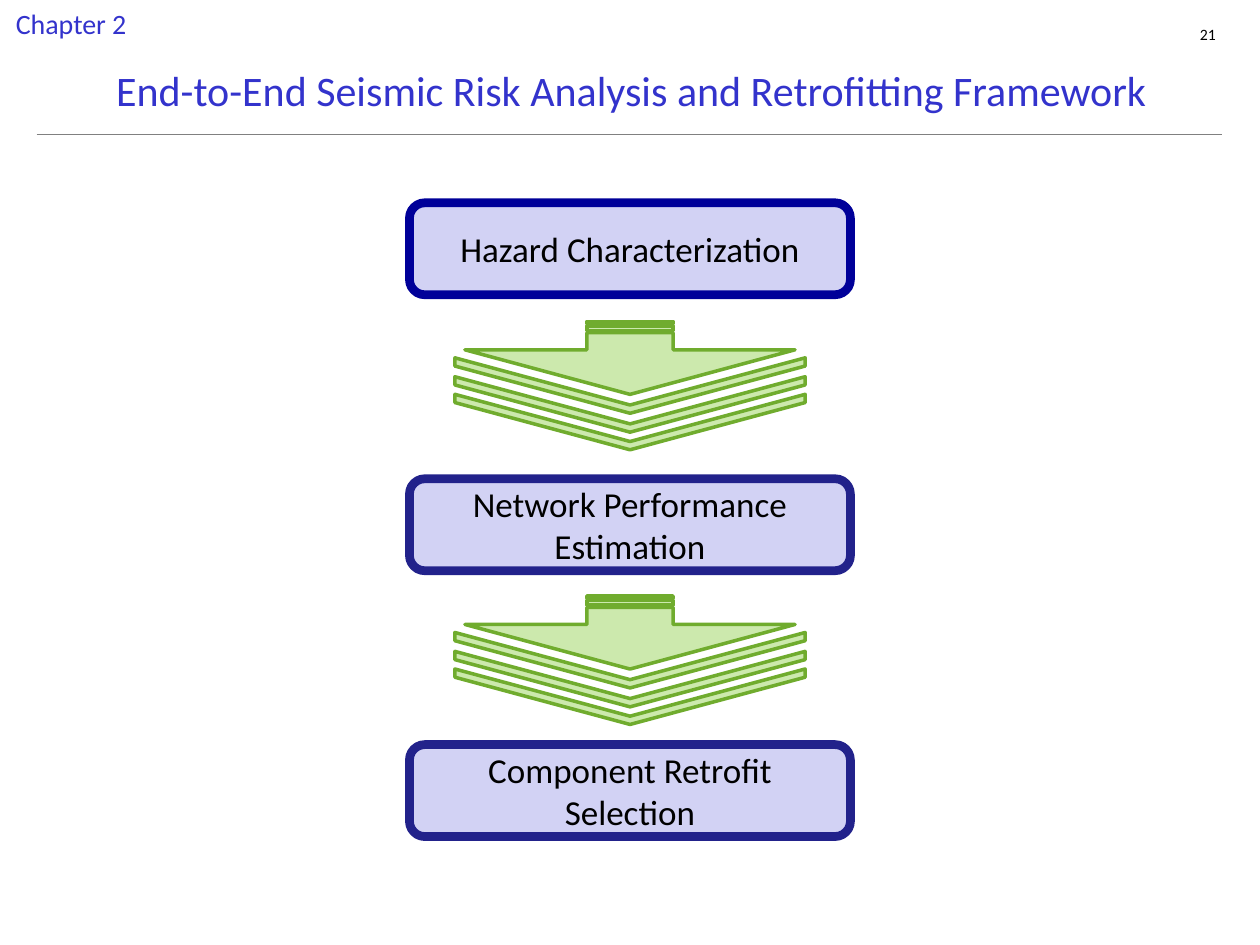
from lxml import etree
from pptx import Presentation
from pptx.dml import color
from pptx.enum import shapes, text
from pptx.oxml import ns
from pptx.util import Inches, Pt

FONT = "Calibri"
BLUE = "3333CC"
BLACK = "000000"
WHITE = "FFFFFF"
STAGES = [
    ("Hazard Characterization", 1.61, "000099"),
    ("Network Performance Estimation", 3.8, "22228B"),
    ("Component Retrofit Selection", 5.91, "22228B"),
]
CENTER = 5
STACK_TOPS = (2.55, 4.73)
CHEVRON_GAP = 0.145


def rgb(value):
    return color.RGBColor.from_string(value)


def box(left, top, width, height):
    return [Inches(round(value, 2)) for value in (left, top, width, height)]


def write(frame, content, size, ink, align=text.PP_ALIGN.CENTER):
    frame.vertical_anchor = text.MSO_ANCHOR.MIDDLE
    paragraph = frame.paragraphs[0]
    paragraph.alignment = align
    run = paragraph.add_run()
    run.text = content
    run.font.name = FONT
    run.font.size = Pt(size)
    run.font.color.rgb = rgb(ink)


def add_block(parent, preset, place, fill, line=None, weight=0):
    block = parent.add_shape(preset, *box(*place))
    block.shadow.inherit = False
    block.fill.solid()
    block.fill.fore_color.rgb = rgb(fill)
    if line:
        block.line.color.rgb = rgb(line)
        block.line.width = Pt(weight)
    else:
        block.line.fill.background()
    return block


def add_title(slide, content):
    title = slide.shapes.title
    title.left, title.top, title.width, title.height = box(0.51, 0.44, 9, 0.55)
    title.text_frame.word_wrap = True
    write(title.text_frame, content, 24, BLUE)


def add_page_number(slide, number):
    page = slide.shapes.add_textbox(*box(8.95, 0.2, 0.7, 0.15)).text_frame
    page.margin_left = page.margin_right = page.margin_top = page.margin_bottom = 0
    page.word_wrap = True
    write(page, number, 9, BLACK, text.PP_ALIGN.RIGHT)
    page.vertical_anchor = text.MSO_ANCHOR.TOP


def add_rule(slide):
    rule = slide.shapes.add_connector(
        shapes.MSO_CONNECTOR.STRAIGHT,
        Inches(0.29), Inches(1.07), Inches(9.7), Inches(1.07),
    )
    rule.line.color.rgb = rgb("808080")
    rule.line.width = Pt(0.75)
    etree.SubElement(rule._element.spPr, ns.qn("a:effectLst"))


def add_stage(slide, label, top, border):
    stage = add_block(
        slide.shapes, shapes.MSO_SHAPE.ROUNDED_RECTANGLE,
        (3.25, top, 3.5, 0.73), "D2D2F4", border, 5,
    )
    stage.text_frame.word_wrap = True
    write(stage.text_frame, label, 20, BLACK)


def add_downward(group, preset, top, length, span, adjustments):
    middle = top + length / 2
    place = (CENTER - length / 2, middle - span / 2, length, span)
    piece = add_block(group.shapes, preset, place, "CCE9AD", "70AC2E", 2)
    piece.rotation = 90
    for index, value in enumerate(adjustments):
        piece.adjustments[index] = value


def add_arrow_stack(slide, top):
    group = slide.shapes.add_group_shape()
    add_downward(group, shapes.MSO_SHAPE.STRIPED_RIGHT_ARROW, top, 0.58, 2.62, (0.261, 0.61))
    for step in range(3):
        add_downward(
            group, shapes.MSO_SHAPE.CHEVRON,
            top + 0.29 + step * CHEVRON_GAP, 0.44, 2.78, (0.851,),
        )


def add_chapter(slide, label):
    chapter = add_block(slide.shapes, shapes.MSO_SHAPE.RECTANGLE, (0, 0, 1.13, 0.37), WHITE)
    chapter.text_frame.word_wrap = False
    write(chapter.text_frame, label, 16, BLUE)
    chapter.text_frame.vertical_anchor = text.MSO_ANCHOR.TOP


def main():
    deck = Presentation()
    deck.slide_width, deck.slide_height = Inches(10), Inches(7.5)
    slide = deck.slides.add_slide(deck.slide_layouts[5])
    add_page_number(slide, "21")
    add_rule(slide)
    add_title(slide, "End-to-End Seismic Risk Analysis and Retrofitting Framework")
    for label, top, border in STAGES:
        add_stage(slide, label, top, border)
    for top in STACK_TOPS:
        add_arrow_stack(slide, top)
    add_chapter(slide, "Chapter 2")
    deck.save("out.pptx")


if __name__ == "__main__":
    main()
